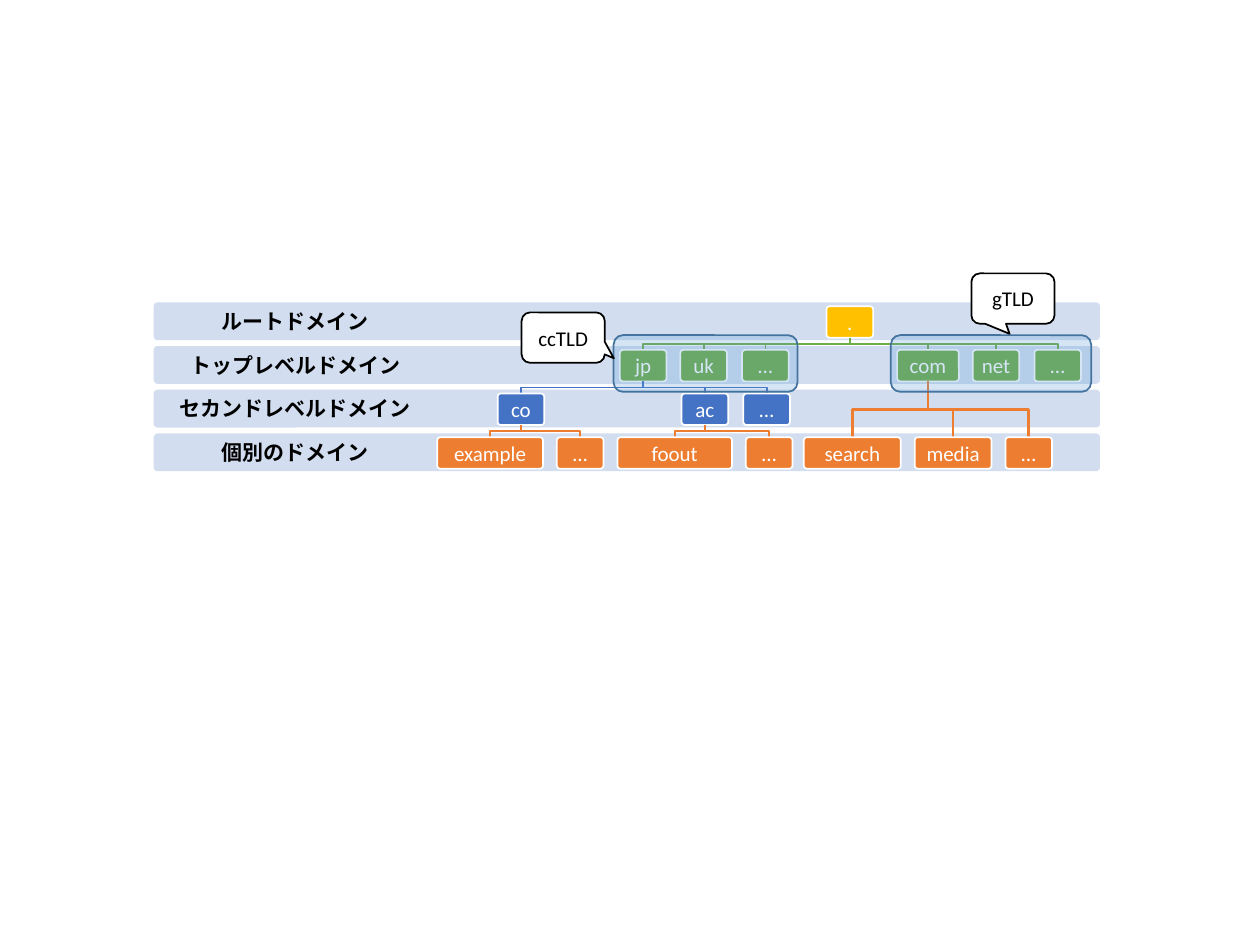
"""Draw the domain name tree with its four levels on one slide."""
from lxml.etree import SubElement
from pptx import Presentation
from pptx.dml.color import RGBColor
from pptx.enum.shapes import MSO_SHAPE as Kind
from pptx.enum.text import MSO_ANCHOR as Anchor, PP_ALIGN as Align
from pptx.oxml.ns import qn
from pptx.util import Inches, Pt

WHITE = RGBColor(0xFF, 0xFF, 0xFF)
BLACK = RGBColor(0, 0, 0)
PALE = RGBColor(0xD2, 0xDE, 0xEF)
GOLD = RGBColor(0xFF, 0xC0, 0x00)
GREEN = RGBColor(0x70, 0xAD, 0x47)
BLUE = RGBColor(0x44, 0x72, 0xC4)
ORANGE = RGBColor(0xED, 0x7D, 0x31)
SKY = RGBColor(0x5B, 0x9B, 0xD5)
STEEL = RGBColor(0x43, 0x73, 0x9E)

LATIN, ASIAN = "Calibri", "Noto Sans CJK JP"
TOP, PITCH = 2.4, 1.04 / 3
BAND, NODE, SMALL = 0.3, 0.25, 0.37
HUES = (GOLD, GREEN, BLUE, ORANGE)
LEVELS = ("ルートドメイン", "トップレベルドメイン", "セカンドレベルドメイン", "個別のドメイン")

CO = [("example", 3, 3.47, 0.84, []), ("…", 3, 4.42, SMALL, [])]
AC = [("foout", 3, 4.9, 0.91, []), ("…", 3, 5.92, SMALL, [])]
JP = [("co", 2, 3.95, SMALL, CO), ("ac", 2, 5.41, SMALL, AC),
      ("…", 2, 5.9, SMALL, [])]
COM = [("search", 3, 6.38, 0.77, []), ("media", 3, 7.26, 0.61, []),
       ("…", 3, 7.98, SMALL, [])]
ROOT = (".", 0, 6.56, SMALL, [
    ("jp", 1, 4.92, SMALL, JP), ("uk", 1, 5.4, SMALL, []),
    ("…", 1, 5.89, SMALL, []), ("com", 1, 7.12, 0.49, COM),
    ("net", 1, 7.72, SMALL, []), ("…", 1, 8.21, SMALL, [])])


class Chart:
    """Hold the style and the slide, and draw each kind of part."""

    def __init__(self, slide):
        self.slide = slide
        self.frame = {"word_wrap": True, "vertical_anchor": Anchor.MIDDLE}
        self.font = {"size": Pt(12), "name": LATIN, "bold": False}

    def label(self, shape, text, ink, inset, **font):
        frame = shape.text_frame
        sides = {f"margin_{side}": Inches(inset)
                 for side in ("left", "right", "top", "bottom")}
        for key, value in {**self.frame, **sides}.items():
            setattr(frame, key, value)
        para = frame.paragraphs[0]
        para.alignment = Align.CENTER
        run = para.add_run()
        run.text = text
        for key, value in {**self.font, **font}.items():
            setattr(run.font, key, value)
        run.font.color.rgb = ink
        SubElement(run._r.get_or_add_rPr(), qn("a:ea"), typeface=run.font.name)

    def box(self, kind, place, fill, line=None, bends=()):
        shape = self.slide.shapes.add_shape(kind, *map(Inches, place))
        shape.shadow.inherit = False
        shape.fill.solid()
        shape.fill.fore_color.rgb = fill
        if line is None:
            shape.line.fill.background()
        else:
            shape.line.color.rgb = line
            shape.line.width = Pt(1)
        for index, bend in enumerate(bends):
            shape.adjustments[index] = bend
        return shape

    def band(self, row, text):
        top = TOP + row * PITCH
        self.box(Kind.ROUNDED_RECTANGLE, (1.22, top, 7.51, BAND), PALE, bends=[0.1])
        place = map(Inches, (1.22, top, 2.25, BAND))
        title = self.slide.shapes.add_textbox(*place)
        self.label(title, text, BLACK, 0.09, name=ASIAN, bold=True)

    def link(self, start, end, hue, width):
        (left, top), (right, low) = start, end
        mid = (top + low) / 2
        points = [tuple(map(Inches, spot))
                  for spot in (start, (left, mid), (right, mid), end)]
        pen = self.slide.shapes.build_freeform(*points[0])
        pen.add_line_segments(points[1:], close=False)
        shape = pen.convert_to_shape()
        shape.shadow.inherit = False
        shape.fill.background()
        shape.line.color.rgb = hue
        shape.line.width = Pt(width)

    def node(self, item, root=None, base=0):
        text, row, left, width, kids = item
        top = TOP + 0.03 + row * PITCH
        mid = left + width / 2
        if root:
            self.link(root, (mid, top), HUES[row], 1.5 if row - base > 1 else 1)
        place = (left, top, width, NODE)
        shape = self.box(Kind.ROUNDED_RECTANGLE, place, HUES[row], WHITE, [0.1])
        self.label(shape, text, WHITE, 0.05)
        for kid in kids:
            self.node(kid, (mid, top + NODE), row)

    def group(self, left, width):
        place = (left, 2.66, width, 0.45)
        shape = self.box(Kind.ROUNDED_RECTANGLE, place, SKY, STEEL)
        tint = shape._element.spPr.find(qn("a:solidFill"))[0]
        SubElement(tint, qn("a:alpha"), val="25000")

    def note(self, text, left, top, bends):
        place = (left, top, 0.66, 0.4)
        shape = self.box(Kind.ROUNDED_RECTANGULAR_CALLOUT, place, WHITE, BLACK, bends)
        self.label(shape, text, BLACK, 0.05)


deck = Presentation()
deck.slide_width, deck.slide_height = Inches(10), Inches(7.5)
chart = Chart(deck.slides.add_slide(deck.slide_layouts[6]))
for row, text in enumerate(LEVELS):
    chart.band(row, text)
chart.node(ROOT)
chart.group(4.87, 1.46)
chart.group(7.07, 1.59)
chart.note("ccTLD", 4.14, 2.48, (0.61, 0.41, 0.17))
chart.note("gTLD", 7.71, 2.17, (-0.04, 0.7, 0.17))
deck.save("out.pptx")
